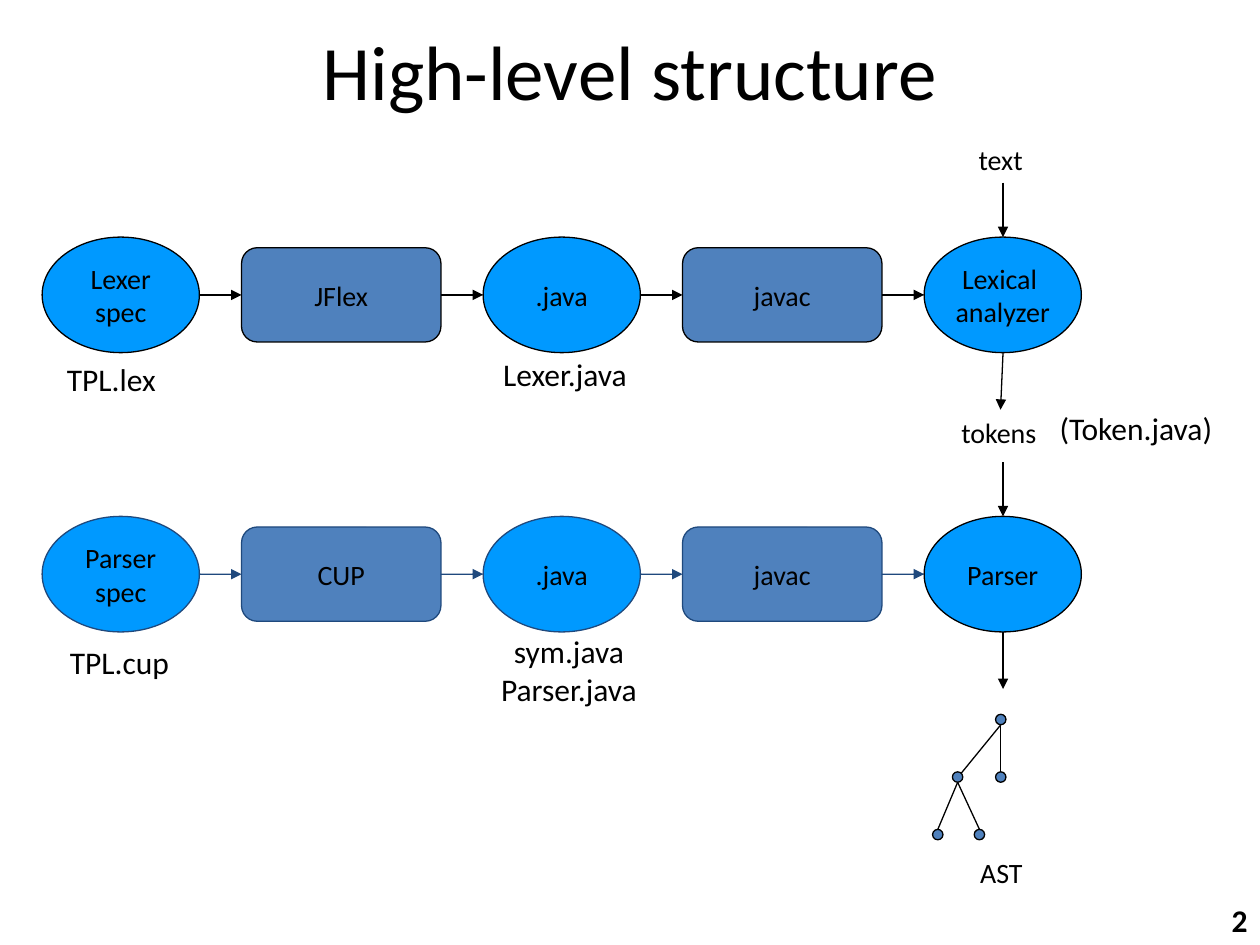
from pptx import Presentation
from pptx import util as u
from pptx.dml.color import RGBColor
from pptx.enum import shapes as s, text as t
from pptx.oxml.ns import qn
from lxml import etree

BLACK = RGBColor(0x00, 0x00, 0x00)
NAVY = RGBColor(0x1F, 0x49, 0x7D)
STEEL = RGBColor(0x4F, 0x81, 0xBD)
AZURE = RGBColor(0x00, 0x99, 0xFF)
FONT = "Calibri"
OVAL = s.MSO_SHAPE.OVAL
ROUND = s.MSO_SHAPE.ROUNDED_RECTANGLE
LEFT, MID, RIGHT = t.PP_ALIGN.LEFT, t.PP_ALIGN.CENTER, t.PP_ALIGN.RIGHT
OVAL_W, OVAL_H, BOX_W, BOX_H, GAP = 3.17, 2.33, 4.02, 1.9, 0.85


def write(shape, words, size, align, bold=False, wrap=False):
    """Put styled words into a shape."""
    frame = shape.text_frame
    frame.text = words
    frame.word_wrap = wrap
    for para in frame.paragraphs:
        para.alignment = align
        for run in para.runs:
            font = run.font
            font.name, font.size, font.bold = FONT, u.Pt(size), bold
            font.color.rgb = BLACK


def label(page, words, x, y, w, h=1.02, size=18, align=LEFT, bold=False, wrap=False):
    """Add a text box."""
    box = page.shapes.add_textbox(u.Cm(x), u.Cm(y), u.Cm(w), u.Cm(h))
    write(box, words, size, align, bold, wrap)
    return box


def node(group, kind, x, y, w, h, fill, edge=BLACK):
    """Add a filled and outlined shape."""
    shape = group.add_shape(kind, u.Cm(x), u.Cm(y), u.Cm(w), u.Cm(h))
    shape.shadow.inherit = False
    shape.fill.solid()
    shape.fill.fore_color.rgb = fill
    shape.line.color.rgb = edge
    shape.line.width = u.Pt(0.75)
    return shape


def link(group, x1, y1, x2, y2, color=BLACK, head=True):
    """Add a straight line, with an arrowhead if wanted."""
    line = group.add_connector(
        s.MSO_CONNECTOR.STRAIGHT, u.Cm(x1), u.Cm(y1), u.Cm(x2), u.Cm(y2))
    line.line.color.rgb = color
    line.line.width = u.Pt(0.75)
    if head:
        etree.SubElement(line.line._get_or_add_ln(), qn("a:tailEnd"), type="triangle")
    etree.SubElement(line._element.spPr, qn("a:effectLst"))
    return line


def title(page, x, y, w, h):
    """Place the slide title."""
    box = label(page, "High-level structure", x, y, w, h, 44, MID, wrap=True)
    box.text_frame.vertical_anchor = t.MSO_ANCHOR.MIDDLE


def chain(page, x, y, names, edge, notes):
    """Place a row of alternating ovals and boxes, joined by arrows, with notes."""
    mid = y + OVAL_H / 2
    left, last = x, None
    for i, name in enumerate(names):
        boxed = i % 2 == 1
        kind, w, h, fill = (ROUND, BOX_W, BOX_H, STEEL) if boxed else (OVAL, OVAL_W, OVAL_H, AZURE)
        rim = BLACK if i == len(names) - 1 else edge
        shape = node(page.shapes, kind, left, mid - h / 2, w, h, fill, rim)
        write(shape, name, 16, MID)
        shape.text_frame.vertical_anchor = t.MSO_ANCHOR.MIDDLE
        if last is not None:
            line = link(page.shapes, left - GAP, mid, left, mid, edge)
            if boxed:
                line.end_connect(shape, 1)
            else:
                line.begin_connect(last, 3)
        left, last = left + w + GAP, shape
    for words, dx, dy, w, h in notes:
        label(page, words, x + dx, y + dy, w, h, align=MID)


def flow(page, x, y):
    """Place the downward flow from text to tree around the axis x."""
    for words, dx, dy, w in [("text", -0.74, 0, 1.47), ("tokens", -1.09, 5.52, 2.06),
                             ("AST", -0.71, 14.38, 1.37)]:
        label(page, words, x + dx, y + dy, w, 0.94, 16)
    label(page, "(Token.java)", x + 0.89, y + 5.39, 3.63)
    for top, end, dx in [(0.94, 2.04, 0), (4.37, 5.52, -0.05), (6.58, 7.67, 0), (10, 11.15, 0)]:
        link(page.shapes, x, y + top, x + dx, y + end)


def tree(page, x, y):
    """Place the small syntax tree."""
    group = page.shapes.add_group_shape().shapes
    size, step = 0.21, 1.16
    dots = [(1.27, 0), (0.4, 1), (1.27, 1), (0, 2), (0.84, 2)]
    for dx, row in dots:
        node(group, OVAL, x + dx, y + row * step, size, size, STEEL)
    for top, end, dx, dy in [(0, 1, 0.07, 0.03), (0, 2, 0, 0), (1, 3, 0, 0), (1, 4, 0, 0)]:
        (px, pr), (cx, cr) = dots[top], dots[end]
        link(group, x + px + size / 2, y + pr * step + size,
             x + cx + size / 2 + dx, y + cr * step + dy, head=False)


def main():
    """Build the slide and save it."""
    deck = Presentation()
    deck.slide_width, deck.slide_height = u.Cm(25.4), u.Cm(19.05)
    page = deck.slides.add_slide(deck.slide_layouts[6])
    title(page, 1.27, 0.33, 22.86, 2.16)
    chain(page, GAP, 4.78, ["Lexer\nspec", "JFlex", ".java", "javac", "Lexical \nanalyzer"], BLACK,
          [("TPL.lex", 0.24, 2.36, 2.31, 1.02), ("Lexer.java", 9.03, 2.26, 3.02, 1.02)])
    chain(page, GAP, 10.41, ["Parser\nspec", "CUP", ".java", "javac", "Parser"], NAVY,
          [("TPL.cup", 0.29, 2.42, 2.54, 1.02), ("sym.java\nParser.java", 8.98, 2.21, 3.28, 1.8)])
    flow(page, 20.22, 2.74)
    tree(page, 18.8, 14.4)
    label(page, "2", 24.1, 18.03, 1.3, align=RIGHT, bold=True, wrap=True)
    deck.save("out.pptx")


if __name__ == "__main__":
    main()
